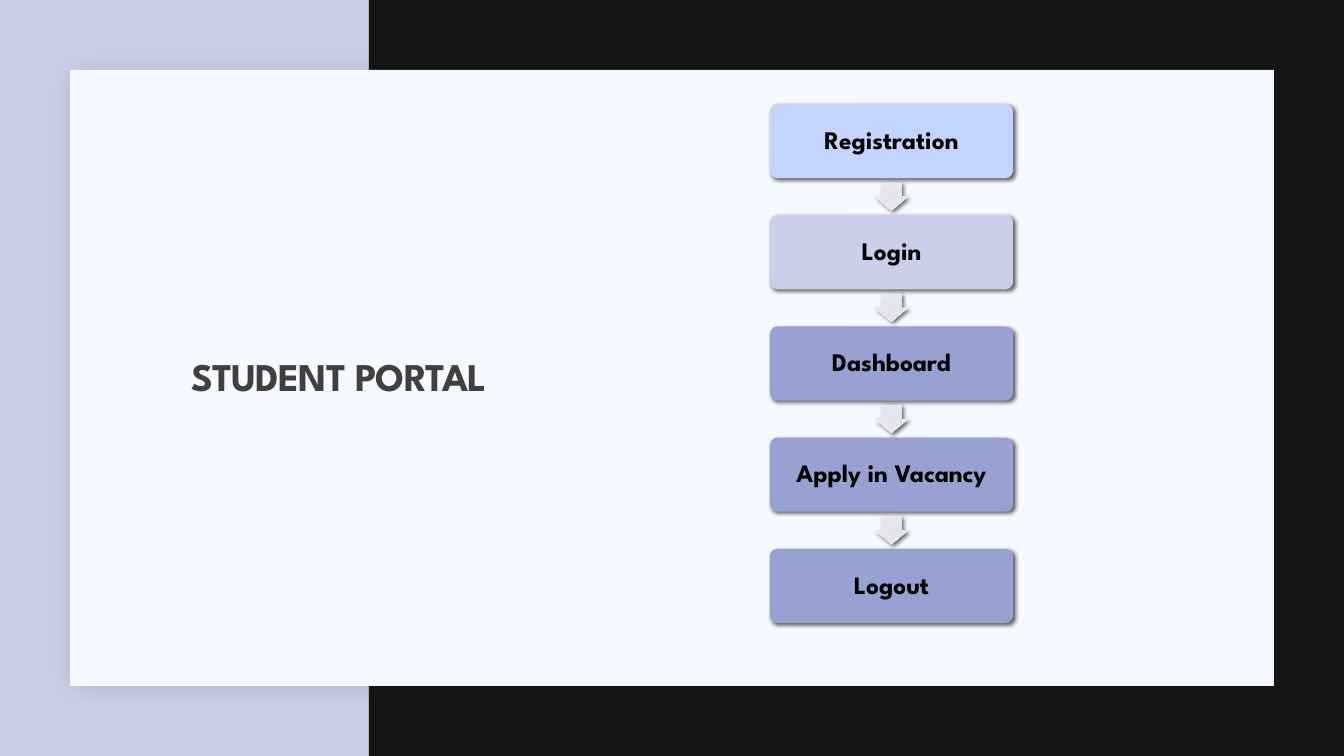
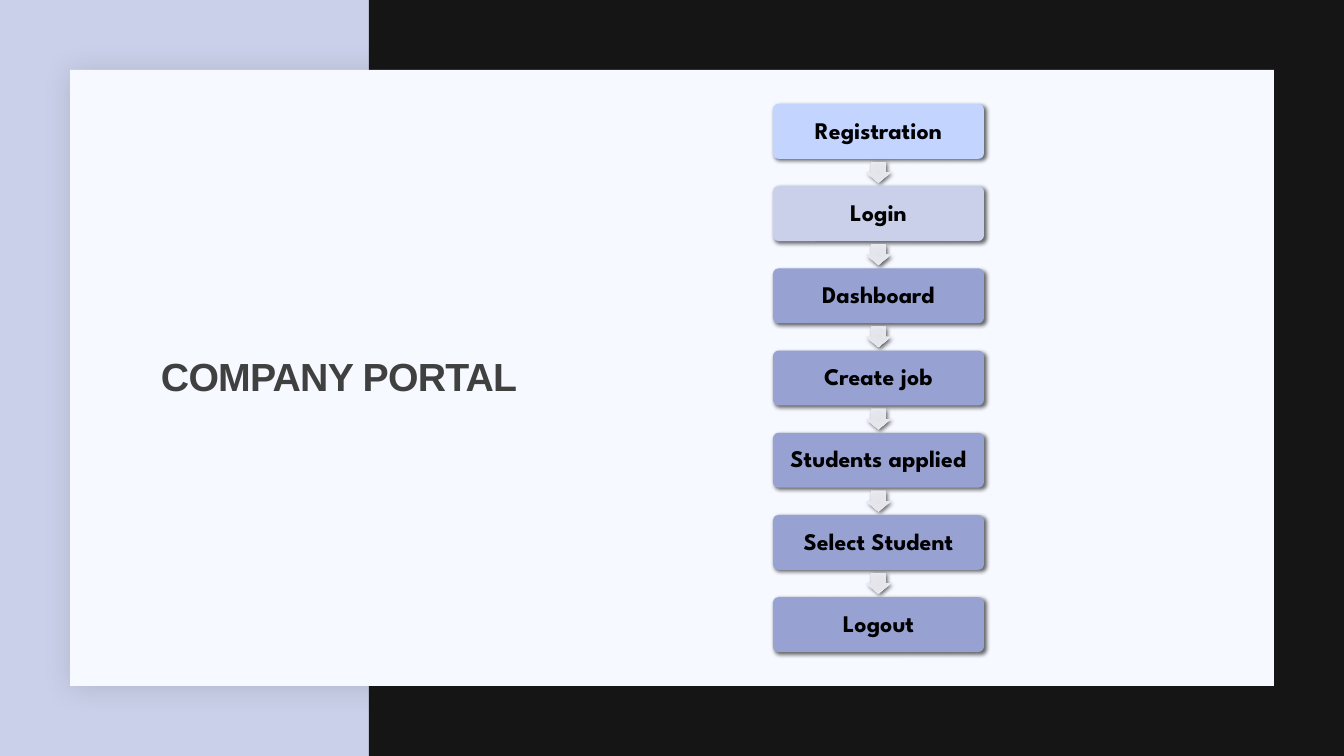
"""Build two portal flow slides on one shared layout."""
from lxml.etree import SubElement
from pptx import Presentation
from pptx.dml.color import RGBColor
from pptx.enum.shapes import MSO_SHAPE as SHAPE
from pptx.enum.text import MSO_ANCHOR as ANCHOR, PP_ALIGN as ALIGN
from pptx.oxml.ns import qn
from pptx.util import Pt

PX = 12192000 / 1344
FONT = "League Spartan"
INK, GREY = "000000", "404040"
LILAC, NIGHT, PAPER = "CAD0E9", "141514", "F6F9FF"
SKY, BLUE = "C3D5FF", "97A2D3"
STOPS = [(0, "E2E4EA"), (34, "E5E6EC"), (70, "E8E9F0"), (100, "F4F5FB")]
FLOWS = [
    ("STUDENT PORTAL", FONT, 770, 243, 519, 18,
     ["Registration", "Login", "Dashboard", "Apply in Vacancy", "Logout"]),
    ("COMPANY PORTAL", "Arial", 773, 211, 548, 17,
     ["Registration", "Login", "Dashboard", "Create job",
      "Students applied", "Select Student", "Logout"]),
]


def box(slide, kind, rect, color, shade=None):
    shape = slide.shapes.add_shape(kind, *[round(n * PX) for n in rect])
    shape.fill.solid()
    shape.fill.fore_color.rgb = RGBColor.from_string(color)
    shape.line.fill.background()
    shape.shadow.inherit = False
    if shade:
        tone, alpha, blur = shade
        glow = SubElement(
            shape.element.spPr.find(qn("a:effectLst")), qn("a:outerShdw"),
            blurRad=str(Pt(blur)), dist=str(Pt(2)), dir="2700000",
            algn="tl", rotWithShape="0")
        tint = SubElement(glow, qn("a:srgbClr"), val=tone)
        SubElement(tint, qn("a:alpha"), val=str(alpha * 1000))
    return shape


def write(shape, text, font, size, color):
    frame = shape.text_frame
    frame.text = text
    frame.word_wrap = True
    frame.vertical_anchor = ANCHOR.MIDDLE
    para = frame.paragraphs[0]
    para.alignment = ALIGN.CENTER
    para.line_spacing = 0.9
    para.font.name = font
    para.font.size = Pt(size)
    para.font.bold = True
    para.font.color.rgb = RGBColor.from_string(color)
    return frame


deck = Presentation()
deck.slide_width, deck.slide_height = round(1344 * PX), round(756 * PX)
layout = deck.slide_layouts[5]
layout.background.fill.solid()
layout.background.fill.fore_color.rgb = RGBColor.from_string(LILAC)
head, *extras = layout.placeholders
for extra in extras:
    extra.element.getparent().remove(extra.element)
head.left, head.top, head.width, head.height = [
    round(n * PX) for n in (70, 346, 538, 65)]

slides = [deck.slides.add_slide(layout) for flow in FLOWS]
band = box(slides[0], SHAPE.RECTANGLE, (369, 0, 975, 756), NIGHT)
panel = box(slides[0], SHAPE.RECTANGLE, (70, 70, 1204, 616), PAPER,
            ("1F2125", 15, 20))
for spot, part in enumerate((band, panel), 2):
    layout.shapes.element.insert(spot, part.element)

for slide, flow in zip(slides, FLOWS):
    title, face, left, width, span, size, steps = flow
    write(slide.shapes.title, title, face, 28, GREY)
    for prop in slide.shapes.title.element.iter(qn("a:defRPr")):
        prop.set("spc", "-50")

    high = span / (1.5 * len(steps) - 0.5)
    wide, long = 0.45 * high, 0.375 * high
    for i, step in enumerate(steps):
        top = 104 + 1.5 * high * i
        color = (SKY, LILAC, BLUE)[min(i, 2)]
        card = box(slide, SHAPE.ROUNDED_RECTANGLE, (left, top, width, high),
                   color, (INK, 60, 3))
        card.adjustments[0] = 0.1
        frame = write(card, step, FONT, size, INK)
        frame.margin_left = frame.margin_right = round(7 * PX)
        frame.margin_top = frame.margin_bottom = round(7 * PX)
        if i == len(steps) - 1:
            continue

        rect = (left + (width - wide) / 2, top + 1.25 * high - long / 2,
                wide, long)
        arrow = box(slide, SHAPE.DOWN_ARROW, rect, STOPS[0][1], (INK, 60, 3))
        arrow.adjustments[0], arrow.adjustments[1] = 0.6, 0.5
        props = arrow.element.spPr
        solid = props.find(qn("a:solidFill"))
        grad = SubElement(props, qn("a:gradFill"), rotWithShape="1")
        props.replace(solid, grad)
        stops = SubElement(grad, qn("a:gsLst"))
        for pos, tone in STOPS:
            stop = SubElement(stops, qn("a:gs"), pos=str(pos * 1000))
            SubElement(stop, qn("a:srgbClr"), val=tone)
        ring = SubElement(grad, qn("a:path"), path="circle")
        SubElement(ring, qn("a:fillToRect"), l="100000", t="100000",
                   r="100000", b="100000")

deck.save("out.pptx")
